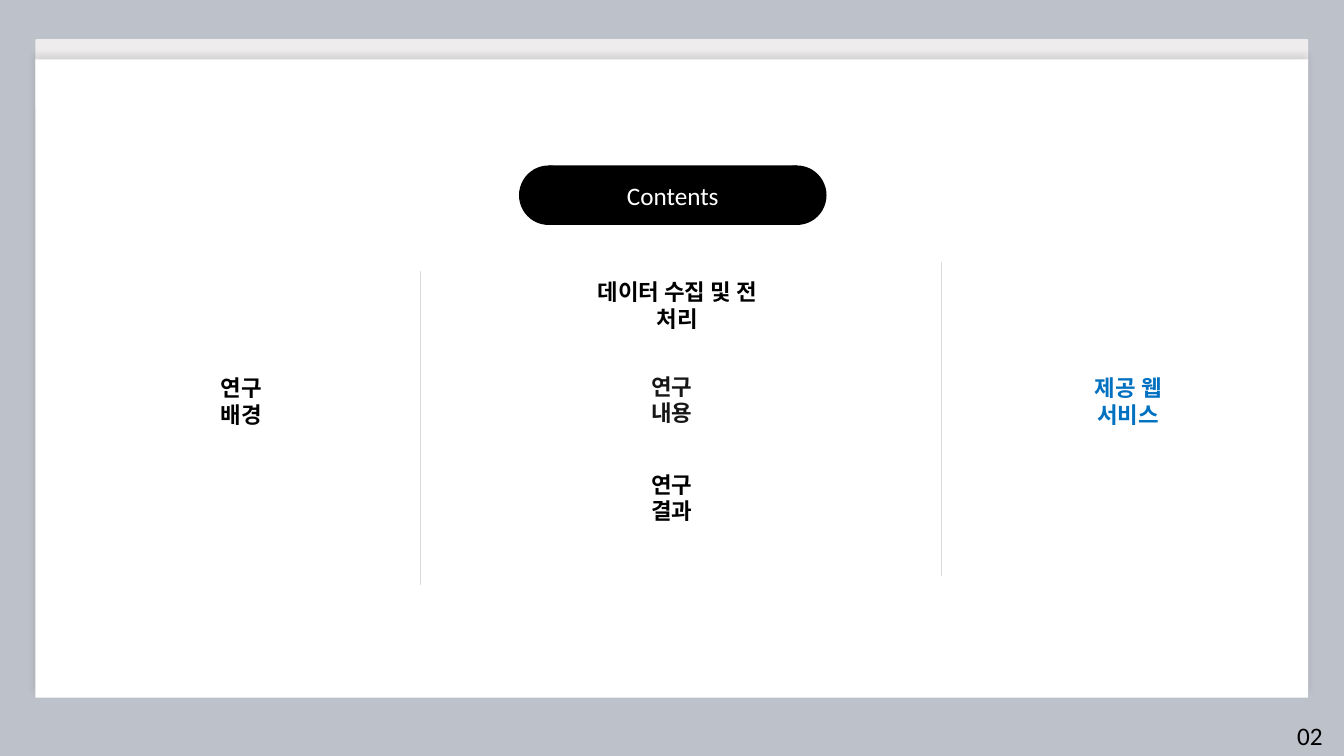
from lxml import etree
from pptx import Presentation
from pptx.dml.color import RGBColor
from pptx.enum.shapes import MSO_CONNECTOR as Connector, MSO_SHAPE as Shape
from pptx.enum.text import MSO_ANCHOR as Anchor, PP_ALIGN as Align
from pptx.oxml import parse_xml
from pptx.oxml.ns import nsdecls, qn
from pptx.util import Cm, Pt

BACKDROP = RGBColor(0xBD, 0xC1, 0xCA)
TAB = RGBColor(0xEE, 0xEC, 0xED)
WHITE = RGBColor(0xFF, 0xFF, 0xFF)
BLACK = RGBColor(0, 0, 0)
INK = RGBColor(0x18, 0x17, 0x17)
RULE = RGBColor(0xD9, 0xD9, 0xD9)
BLUE = RGBColor(0x00, 0x70, 0xC0)

SHEET_SHADOW = (
    f'<a:effectLst {nsdecls("a")}>'
    f'<a:outerShdw blurRad="{Pt(4)}" dist="{Pt(3)}" dir="16200000" algn="b" rotWithShape="0">'
    '<a:srgbClr val="000000"><a:alpha val="10000"/></a:srgbClr>'
    '</a:outerShdw></a:effectLst>'
)


class ContentsSlide:
    font = "Calibri"

    def __init__(self, deck):
        self.slide = deck.slides.add_slide(deck.slide_layouts[5])
        self.shapes = self.slide.shapes
        backdrop = self.slide.background.fill
        backdrop.solid()
        backdrop.fore_color.rgb = BACKDROP

    def block(self, kind, left, top, width, height, color):
        block = self.shapes.add_shape(kind, Cm(left), Cm(top), Cm(width), Cm(height))
        block.shadow.inherit = False
        block.fill.solid()
        block.fill.fore_color.rgb = color
        block.line.fill.background()
        return block

    def sheet(self):
        tab = self.block(Shape.ROUNDED_RECTANGLE, 0.89, 0.99, 32.08, 1.7, TAB)
        tab.adjustments[0] = 0.015
        page = self.block(Shape.RECTANGLE, 0.89, 1.5, 32.08, 16.08, WHITE)
        properties = page._element.spPr
        properties.replace(properties.find(qn("a:effectLst")), parse_xml(SHEET_SHADOW))

    def set_text(self, holder, text, size, color, align, bold=False):
        frame = holder.text_frame
        frame.text = text
        frame.word_wrap = True
        paragraph = frame.paragraphs[0]
        paragraph.alignment = align
        font = paragraph.runs[0].font
        font.name, font.size, font.bold = self.font, Pt(size), bold
        font.color.rgb = color
        return frame

    def pill_title(self, text, left, top, span, diameter):
        for end in (left, left + span):
            self.block(Shape.OVAL, end, top, diameter, diameter, BLACK)
        title = self.shapes.title
        title.left, title.top = Cm(left + diameter / 2), Cm(top)
        title.width, title.height = Cm(span), Cm(diameter)
        title.fill.solid()
        title.fill.fore_color.rgb = BLACK
        frame = self.set_text(title, text, 18, WHITE, Align.CENTER)
        frame.vertical_anchor = Anchor.MIDDLE
        title._element.getparent().append(title._element)

    def divider(self, x, top, length):
        divider = self.shapes.add_connector(
            Connector.STRAIGHT, Cm(x), Cm(top), Cm(x), Cm(top + length))
        divider.line.color.rgb = RULE
        divider.line.width = Pt(1)
        etree.SubElement(divider._element.spPr, qn("a:effectLst"))

    def topic(self, text, left, top, width, color=BLACK):
        topic = self.shapes.add_textbox(Cm(left), Cm(top), Cm(width), Cm(0.94))
        frame = self.set_text(topic, text, 16, color, Align.CENTER, bold=True)
        frame.vertical_anchor = Anchor.MIDDLE
        frame.margin_left = frame.margin_right = Cm(0.3)

    def page_number(self, text):
        number = self.shapes.add_textbox(Cm(32.44), Cm(18.03), Cm(1.37), Cm(1.02))
        self.set_text(number, text, 18, BLACK, Align.LEFT)


def main():
    deck = Presentation()
    deck.slide_width, deck.slide_height = Cm(33.87), Cm(19.05)
    contents = ContentsSlide(deck)
    contents.sheet()
    contents.pill_title("Contents", 13.08, 4.17, 6.25, 1.5)
    for x, top in ((10.6, 6.83), (23.72, 6.6)):
        contents.divider(x, top, 7.92)
    contents.topic("연구 배경", 4.72, 9.63, 2.72)
    contents.topic("데이터 수집 및 전 처리", 14.22, 7.21, 5.69)
    contents.topic("연구 내용", 15.57, 9.6, 2.72, INK)
    contents.topic("연구 결과", 15.57, 12.07, 2.72)
    contents.topic("제공 웹 서비스", 26.49, 9.63, 3.89, BLUE)
    contents.page_number("02")
    deck.save("out.pptx")


if __name__ == "__main__":
    main()
